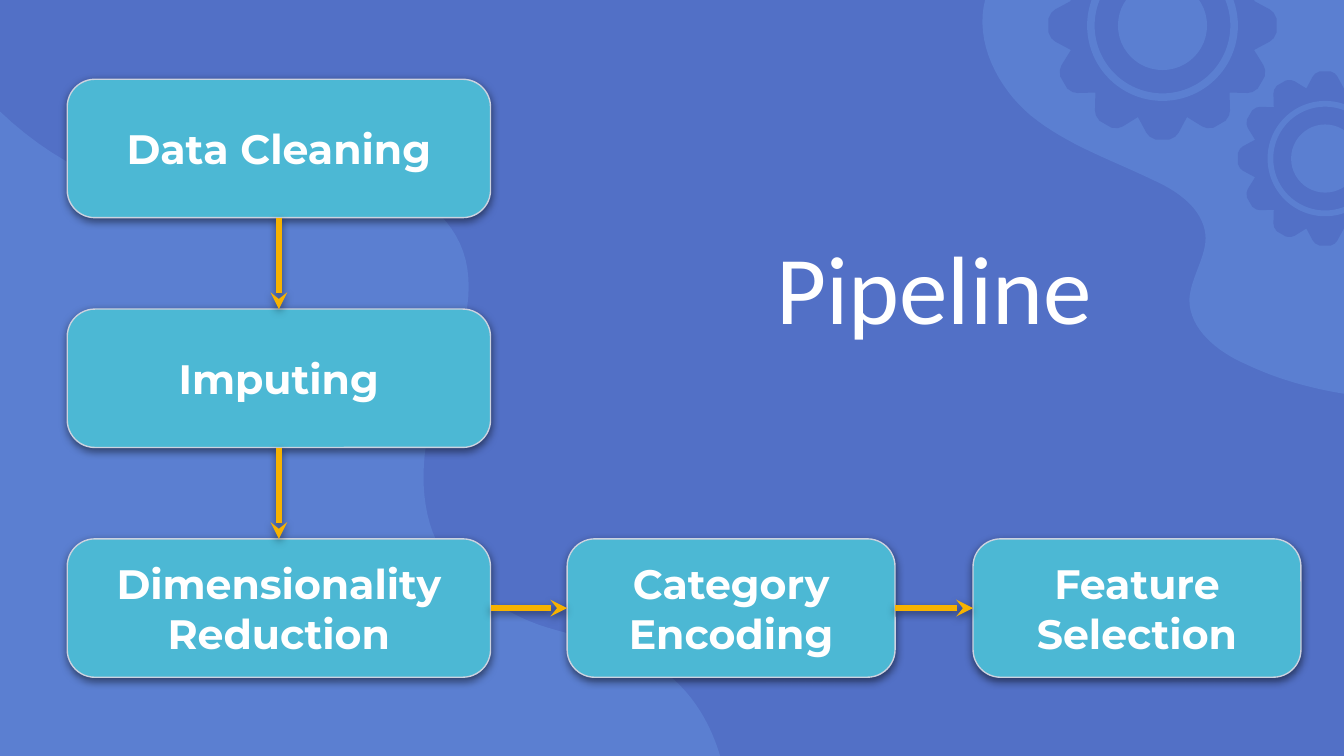
import math

from pptx import Presentation
from pptx import util as u
from pptx.dml import color
from pptx.enum import shapes, text
from pptx.oxml import parse_xml
from pptx.oxml import ns

COLORS = {
    "background": "5270C6",
    "light": "5B7FD1",
    "box": "4CB8D4",
    "border": "CCD2E0",
    "arrow": "F7B200",
    "white": "FFFFFF",
}
SHADOW = (
    f'<a:effectLst {ns.nsdecls("a")}>'
    '<a:outerShdw blurRad="57150" dist="19050" dir="5400000" algn="bl" rotWithShape="0">'
    '<a:srgbClr val="000000"><a:alpha val="50000"/></a:srgbClr>'
    "</a:outerShdw></a:effectLst>"
)
TOP, LEFT, BOTTOM, RIGHT = range(4)

RIGHT_BLOB = [
    (7.33, 0),
    (7.25, 0.31, 7.42, 0.65, 7.67, 0.86),
    (7.94, 1.08, 8.27, 1.19, 8.58, 1.34),
    (8.76, 1.42, 8.95, 1.55, 8.97, 1.75),
    (8.98, 1.91, 8.86, 2.06, 8.85, 2.23),
    (8.85, 2.45, 9.06, 2.62, 9.27, 2.71),
    (9.5, 2.82, 9.75, 2.89, 10, 2.93),
    (10, 0),
]
LEFT_BLOB = [
    (0, 0.83),
    (0, 5.63),
    (5.36, 5.63),
    (5.29, 5.39, 5.16, 5.17, 4.97, 5.02),
    (4.69, 4.79, 4.34, 4.76, 4.01, 4.65),
    (3.68, 4.53, 3.34, 4.28, 3.22, 3.96),
    (3.09, 3.61, 3.16, 3.17, 3.31, 2.83),
    (3.46, 2.48, 3.58, 2.07, 3.39, 1.75),
    (3.23, 1.48, 2.99, 1.41, 2.68, 1.41),
    (2.35, 1.41, 2.05, 1.49, 1.74, 1.5),
    (1.1, 1.54, 0.48, 1.29, 0, 0.83),
]


def rgb(name):
    return color.RGBColor.from_string(COLORS[name])


def flatten(segments, steps=16):
    points = []
    for segment in segments:
        if len(segment) == 2:
            points.append(segment)
            continue
        start = points[-1]
        first, second, end = segment[:2], segment[2:4], segment[4:]
        for step in range(1, steps + 1):
            t = step / steps
            s = 1 - t
            points.append(tuple(
                s**3 * a + 3 * s * s * t * b + 3 * s * t * t * c + t**3 * d
                for a, b, c, d in zip(start, first, second, end)
            ))
    return points


def write(shape, words, *, font, size, bold=False, ink="white"):
    frame = shape.text_frame
    frame.word_wrap = True
    frame.vertical_anchor = text.MSO_ANCHOR.MIDDLE
    frame.margin_left = frame.margin_right = u.Inches(0.1)
    frame.margin_top = frame.margin_bottom = u.Inches(0.1)
    para = frame.paragraphs[0]
    para.alignment = text.PP_ALIGN.CENTER
    span = para.add_run()
    span.text = words
    span.font.name = font
    span.font.size = u.Pt(size)
    span.font.bold = bold
    span.font.color.rgb = rgb(ink)


class Painter:
    def __init__(self, slide):
        self.slide = slide
        self.heading = {"font": "Calibri", "size": 52}
        self.label = {"font": "Montserrat", "size": 22, "bold": True}
        slide.background.fill.solid()
        slide.background.fill.fore_color.rgb = rgb("background")

    def flat(self, shape, fill):
        shape.shadow.inherit = False
        shape.fill.solid()
        shape.fill.fore_color.rgb = rgb(fill)
        shape.line.fill.background()

    def outline(self, points, fill):
        corners = [(u.Inches(x), u.Inches(y)) for x, y in points]
        builder = self.slide.shapes.build_freeform(*corners[0])
        builder.add_line_segments(corners[1:], close=True)
        self.flat(builder.convert_to_shape(), fill)

    def round(self, kind, x, y, radius, fill):
        shape = self.slide.shapes.add_shape(
            kind, u.Inches(x - radius), u.Inches(y - radius),
            u.Inches(2 * radius), u.Inches(2 * radius))
        self.flat(shape, fill)
        return shape

    def gear(self, x, y, radius, teeth=12):
        tooth = [(-15, 0.83), (-8.5, 0.95), (-6.5, 0.98), (-3.5, 1),
                 (3.5, 1), (6.5, 0.98), (8.5, 0.95)]
        points = []
        for index in range(teeth):
            for offset, reach in tooth:
                angle = math.radians(index * 360 / teeth + offset)
                points.append((x + radius * reach * math.cos(angle),
                               y + radius * reach * math.sin(angle)))
        self.outline(points, "background")
        ring = self.round(shapes.MSO_SHAPE.DONUT, x, y, radius * 0.66, "light")
        ring.adjustments[0] = 0.05
        self.round(shapes.MSO_SHAPE.OVAL, x, y, radius * 0.39, "light")

    def title(self, words, x, y, width, height):
        holder = self.slide.shapes.title
        holder.left, holder.top = u.Inches(x), u.Inches(y)
        holder.width, holder.height = u.Inches(width), u.Inches(height)
        write(holder, words, **self.heading)

    def box(self, words, x, y, width, height=1.03):
        box = self.slide.shapes.add_shape(
            shapes.MSO_SHAPE.ROUNDED_RECTANGLE,
            u.Inches(x), u.Inches(y), u.Inches(width), u.Inches(height))
        box.adjustments[0] = 0.2
        box.fill.solid()
        box.fill.fore_color.rgb = rgb("box")
        box.line.color.rgb = rgb("border")
        box.line.width = u.Pt(0.75)
        box.element.spPr.append(parse_xml(SHADOW))
        write(box, words, **self.label)
        return box

    def arrow(self, start, start_site, end, end_site):
        arrow = self.slide.shapes.add_connector(
            shapes.MSO_CONNECTOR.STRAIGHT, 0, 0, 0, 0)
        arrow.begin_connect(start, start_site)
        arrow.end_connect(end, end_site)
        arrow.line.color.rgb = rgb("arrow")
        arrow.line.width = u.Pt(3)
        properties = arrow.element.spPr
        properties.find(ns.qn("a:ln")).append(
            parse_xml(f'<a:tailEnd {ns.nsdecls("a")} type="stealth"/>'))
        properties.append(parse_xml(SHADOW))


def main():
    deck = Presentation()
    deck.slide_width = u.Inches(10)
    deck.slide_height = deck.slide_width * 9 // 16
    painter = Painter(deck.slides.add_slide(deck.slide_layouts[5]))

    painter.outline(flatten(RIGHT_BLOB), "light")
    painter.gear(8.65, 0.19, 0.85)
    painter.gear(9.86, 1.18, 0.65)
    painter.outline(flatten(LEFT_BLOB), "light")
    painter.title("Pipeline", 4.98, 1.2, 3.94, 1.85)

    column = [painter.box(words, 0.5, 0.59 + 1.71 * index, 3.15)
              for index, words in enumerate(
                  ["Data Cleaning", "Imputing", "Dimensionality Reduction"])]
    row = column[-1:] + [painter.box(words, 4.22 + 3.02 * index, 4.01, 2.44)
                         for index, words in enumerate(
                             ["Category Encoding", "Feature Selection"])]
    for upper, lower in zip(column, column[1:]):
        painter.arrow(upper, BOTTOM, lower, TOP)
    for before, after in zip(row, row[1:]):
        painter.arrow(before, RIGHT, after, LEFT)

    deck.save("out.pptx")


if __name__ == "__main__":
    main()
